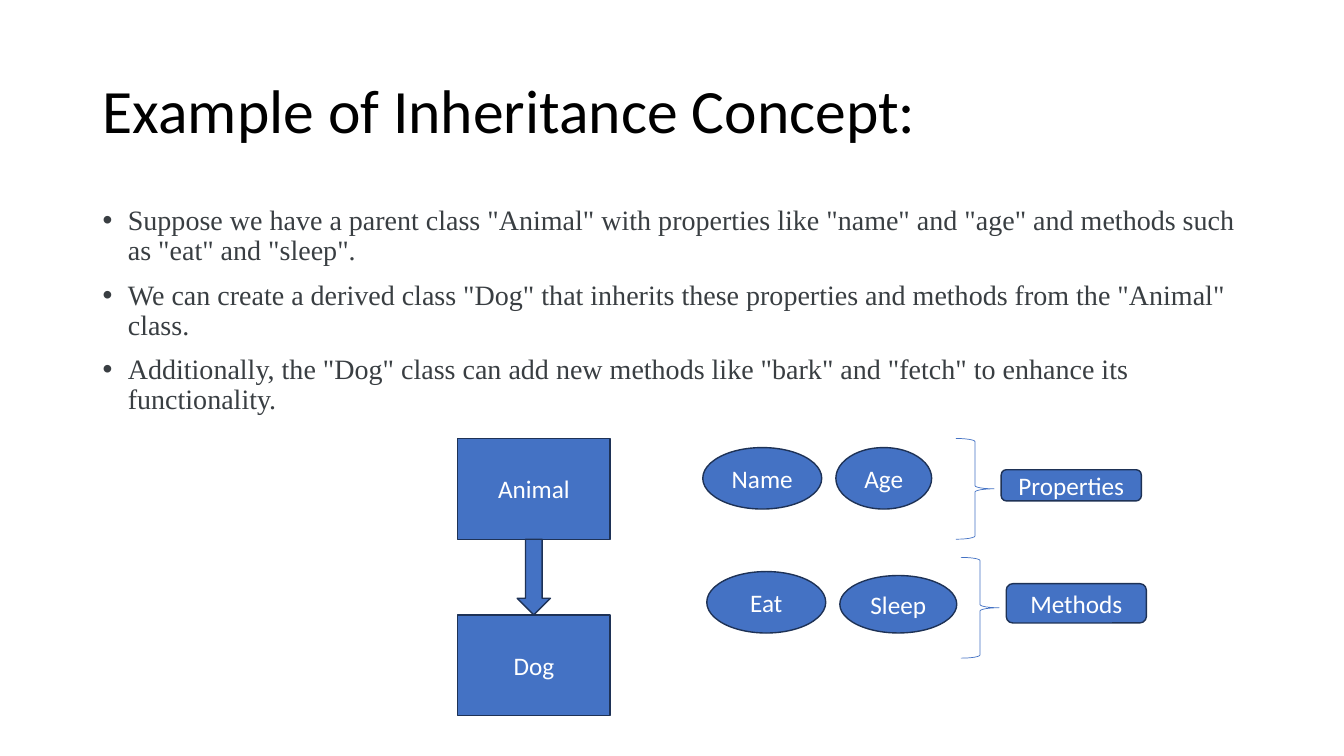
from dataclasses import dataclass

from lxml import etree
from pptx import Presentation
from pptx.dml.color import RGBColor
from pptx.enum.shapes import MSO_SHAPE
from pptx.enum.text import MSO_ANCHOR, PP_ALIGN
from pptx.oxml.ns import qn
from pptx.util import Inches, Pt

RECT = MSO_SHAPE.RECTANGLE
OVAL = MSO_SHAPE.OVAL
ROUNDED = MSO_SHAPE.ROUNDED_RECTANGLE
DOWN_ARROW = MSO_SHAPE.DOWN_ARROW
BRACE = MSO_SHAPE.RIGHT_BRACE
MIDDLE, TOP = MSO_ANCHOR.MIDDLE, MSO_ANCHOR.TOP
LEFT, CENTER = PP_ALIGN.LEFT, PP_ALIGN.CENTER


@dataclass(frozen=True)
class Theme:
    """Colours, fonts and type sizes of the slide."""
    fill: str = "4472C4"
    outline: str = "1E3256"
    title: str = "000000"
    body: str = "393E42"
    label: str = "FFFFFF"
    sans: str = "Calibri"
    serif: str = "Times New Roman"
    title_size: int = 44
    body_size: int = 20
    label_size: int = 18


THEME = Theme()

TITLE = "Example of Inheritance Concept:"
BULLETS = [
    'Suppose we have a parent class "Animal" with properties like "name" and "age" '
    'and methods such as "eat" and "sleep".',
    'We can create a derived class "Dog" that inherits these properties and methods '
    'from the "Animal" class.',
    'Additionally, the "Dog" class can add new methods like "bark" and "fetch" '
    'to enhance its functionality.',
]
PROPERTIES = [("Name", (0, 0.09, 1.18, 0.61)), ("Age", (1.32, 0.09, 0.95, 0.61))]
METHODS = [("Eat", (0, 0.14, 1.18, 0.61)), ("Sleep", (1.32, 0.18, 1.16, 0.57))]


def add_text(tf, text, *, size, color, font, align=LEFT, first=True, spacing=None, before=None):
    """Write one formatted paragraph into a text frame and return it."""
    p = tf.paragraphs[0] if first else tf.add_paragraph()
    p.alignment, p.line_spacing = align, spacing
    if before is not None:
        p.space_before = Pt(before)
    r = p.add_run()
    r.text = text
    r.font.name, r.font.size = font, Pt(size)
    r.font.color.rgb = RGBColor.from_string(color)
    return p


def add_bullet(p, indent):
    """Give a paragraph a round bullet with a hanging indent."""
    pPr = p._p.get_or_add_pPr()
    pPr.set("marL", str(Inches(indent)))
    pPr.set("indent", str(-Inches(indent)))
    etree.SubElement(pPr, qn("a:buFont")).set("typeface", "Arial")
    etree.SubElement(pPr, qn("a:buChar")).set("char", "•")


def add_frame(slide, box, anchor):
    """Add a wrapping text box and return its text frame."""
    tf = slide.shapes.add_textbox(*map(Inches, box)).text_frame
    tf.word_wrap, tf.vertical_anchor = True, anchor
    return tf


def add_node(slide, kind, box, text=None):
    """Add a diagram shape, with a centred label if there is text."""
    sp = slide.shapes.add_shape(kind, *map(Inches, box))
    sp.shadow.inherit = False
    if kind == BRACE:
        sp.fill.background()
    else:
        sp.fill.solid()
        sp.fill.fore_color.rgb = RGBColor.from_string(THEME.fill)
    line_color, line_width = (THEME.fill, 0.5) if kind == BRACE else (THEME.outline, 1)
    sp.line.color.rgb = RGBColor.from_string(line_color)
    sp.line.width = Pt(line_width)
    if text:
        tf = sp.text_frame
        tf.word_wrap, tf.vertical_anchor = True, MIDDLE
        tf.margin_left = tf.margin_right = 0
        add_text(tf, text, size=THEME.label_size, color=THEME.label, font=THEME.sans, align=CENTER)


def add_title(slide, box):
    """Place the slide title in its box."""
    add_text(add_frame(slide, box, MIDDLE), TITLE, size=THEME.title_size,
             color=THEME.title, font=THEME.sans, spacing=0.9)


def add_body(slide, box):
    """Place the bulleted explanation in its box."""
    tf = add_frame(slide, box, TOP)
    for i, text in enumerate(BULLETS):
        p = add_text(tf, text, size=THEME.body_size, color=THEME.body, font=THEME.serif,
                     first=i == 0, spacing=0.9, before=10)
        add_bullet(p, 0.25)


def add_hierarchy(slide, box):
    """Stack the parent and derived classes with an arrow between them."""
    x, y, w, h = box
    class_h, arrow_w = 1, 0.33
    add_node(slide, RECT, (x, y, w, class_h), "Animal")
    add_node(slide, RECT, (x, y + h - class_h, w, class_h), "Dog")
    add_node(slide, DOWN_ARROW, (x + (w - arrow_w) / 2, y + class_h, arrow_w, h - 2 * class_h))


def add_members(slide, box, members, label, label_top, label_h):
    """Place member ovals, a brace and the label that names the group."""
    x, y, w, h = box
    brace_w, label_w = 0.38, 1.39
    label_x = x + w - label_w
    for text, (dx, dy, oval_w, oval_h) in members:
        add_node(slide, OVAL, (x + dx, y + dy, oval_w, oval_h), text)
    add_node(slide, BRACE, (label_x - 0.07 - brace_w, y, brace_w, h))
    add_node(slide, ROUNDED, (label_x, y + label_top, label_w, label_h), label)


def main():
    """Build the slide and save it."""
    prs = Presentation()
    prs.slide_width, prs.slide_height = Inches(13.33), Inches(7.5)
    slide = prs.slides.add_slide(prs.slide_layouts[6])
    add_title(slide, (0.92, 0.4, 11.5, 1.45))
    add_body(slide, (0.92, 2, 11.5, 4.76))
    add_hierarchy(slide, (4.54, 4.35, 1.51, 2.75))
    add_members(slide, (6.97, 4.35, 4.35, 1), PROPERTIES, "Properties", 0.31, 0.31)
    add_members(slide, (7.01, 5.53, 4.36, 1), METHODS, "Methods", 0.26, 0.39)
    prs.save("out.pptx")


if __name__ == "__main__":
    main()
